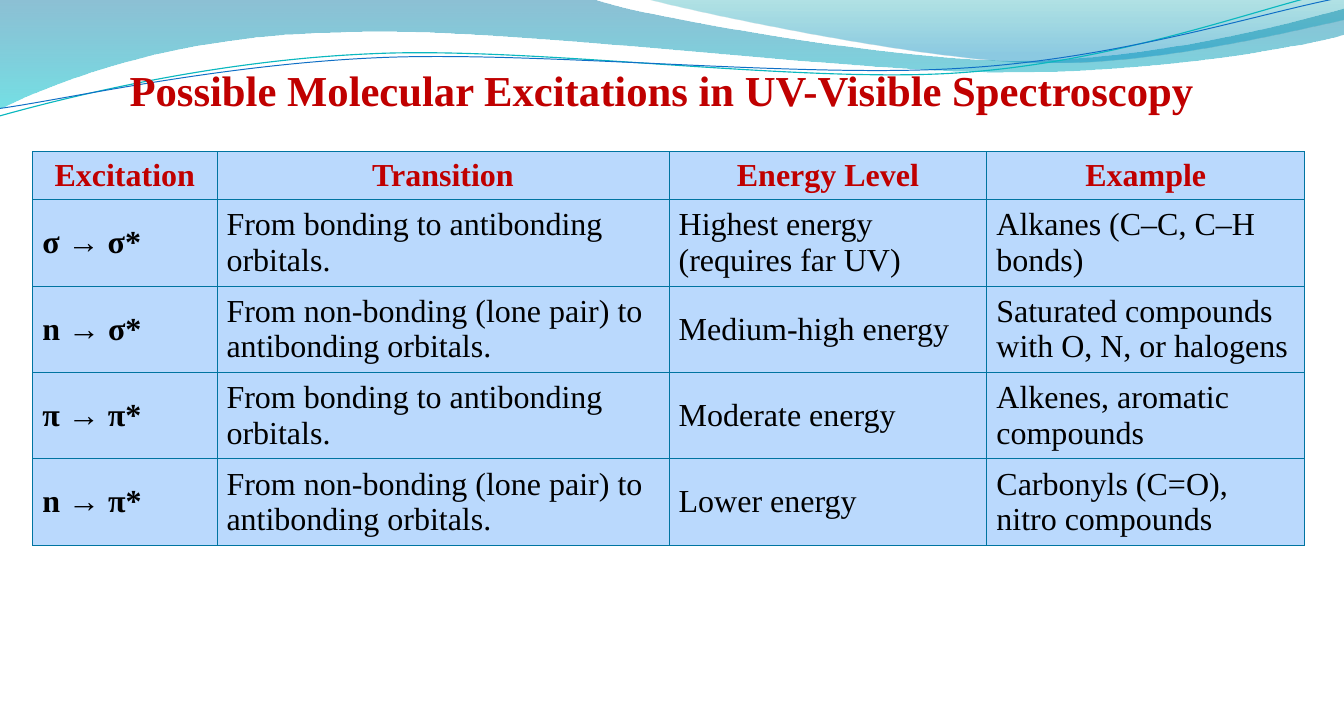
import math

from lxml import etree
from pptx import Presentation
from pptx.dml.color import RGBColor
from pptx.enum import text
from pptx.oxml import ns
from pptx.util import Inches, Pt

RED = RGBColor(0xC0, 0x00, 0x00)
BLACK = RGBColor(0x00, 0x00, 0x00)
PALE = RGBColor(0xBA, 0xD9, 0xFD)
BLUE = RGBColor(0x00, 0x74, 0xA1)
CYAN = RGBColor(0x00, 0xC6, 0xCF)
TEAL = RGBColor(0x00, 0xA1, 0xA9)
SKY = RGBColor(0x00, 0x8B, 0xBF)
AQUA = RGBColor(0x0A, 0xB8, 0xBF)
NAVY = RGBColor(0x0F, 0x6F, 0xC6)
FONT = "Times New Roman"
TILT = -2.7

# Outlines: a pair is a straight step, six numbers are a Bezier curve
WAVE = [(-0.01, -0.01), (6.15, -0.01),
        (6.66, 0.17, 9.29, 0.63, 10.62, 0.63),
        (11.94, 0.63, 13.42, 0.26, 14, 0.09), (14.01, 0.36),
        (13.77, 0.44, 12.18, 0.76, 10.44, 0.75),
        (8.71, 0.75, 5.34, 0.28, 3.6, 0.34),
        (1.81, 0.36, 0.64, 0.83, -0.01, 1.13)]
CREST = [(6.71, -0.01), (7.13, 0.11, 9.55, 0.62, 10.76, 0.65),
         (11.98, 0.69, 13.46, 0.32, 14, 0.21), (14, 0)]
UPPER = [(-0.01, 1.21), (0.67, 1.02, 2.21, 0.63, 3.87, 0.56),
         (5.54, 0.48, 8.29, 0.87, 9.97, 0.76),
         (11.66, 0.65, 13.14, 0.07, 13.98, -0.11)]
LOWER = [(0, 1.13), (0.66, 1.04, 2.29, 0.67, 3.97, 0.6),
         (5.64, 0.53, 8.36, 0.82, 10.03, 0.71),
         (11.7, 0.61, 13.18, 0.12, 14, -0.03)]

ROWS = [
    ("Excitation", "Transition", "Energy Level", "Example"),
    ("σ → σ*", "From bonding to antibonding orbitals.",
     "Highest energy (requires far UV)", "Alkanes (C–C, C–H bonds)"),
    ("n → σ*", "From non-bonding (lone pair) to antibonding orbitals.",
     "Medium-high energy", "Saturated compounds with O, N, or halogens"),
    ("π → π*", "From bonding to antibonding orbitals.",
     "Moderate energy", "Alkenes, aromatic compounds"),
    ("n → π*", "From non-bonding (lone pair) to antibonding orbitals.",
     "Lower energy", "Carbonyls (C=O), nitro compounds"),
]


def write(frame, words, size=24, color=BLACK, bold=False,
          align=text.PP_ALIGN.LEFT):
    para = frame.paragraphs[0]
    para.alignment = align
    run = para.add_run()
    run.text = words
    font = run.font
    font.name, font.size, font.bold = FONT, Pt(size), bold
    font.color.rgb = color


def turn(steps, angle):
    """Rotate every point about the middle of the two ends."""
    mid_x = (steps[0][0] + steps[-1][-2]) / 2
    mid_y = (steps[0][1] + steps[-1][-1]) / 2
    cos, sin = math.cos(math.radians(angle)), math.sin(math.radians(angle))
    turned = []
    for step in steps:
        spots = []
        for x, y in zip(step[::2], step[1::2]):
            x, y = x - mid_x, y - mid_y
            spots += [mid_x + x * cos - y * sin, mid_y + x * sin + y * cos]
        turned.append(tuple(spots))
    return turned


def draw(slide, steps, close):
    points = [(Inches(x), Inches(y)) for step in steps
              for x, y in zip(step[::2], step[1::2])]
    pen = slide.shapes.build_freeform(*points[0])
    pen.add_line_segments(points[1:], close=close)
    shape = pen.convert_to_shape()
    shape.shadow.inherit = False
    # Join each three points of a curve into one Bezier step
    lines = iter(list(shape._element.spPr.iter(ns.qn("a:lnTo"))))
    for step in steps[1:]:
        first = next(lines)
        if len(step) == 6:
            first.tag = ns.qn("a:cubicBezTo")
            for _ in range(2):
                line = next(lines)
                first.append(line[0])
                line.getparent().remove(line)
    return shape


def add_band(slide, steps, stops):
    shape = draw(slide, steps, True)
    shape.line.fill.background()
    shape.fill.gradient()
    shape.fill.gradient_angle = 270
    for stop, (place, color, alpha) in zip(shape.fill.gradient_stops, stops):
        stop.position = place
        stop.color.rgb = color
    # Opacity of each stop
    tints = shape._element.spPr.iter(ns.qn("a:srgbClr"))
    for tint, (_, _, alpha) in zip(tints, stops):
        etree.SubElement(tint, ns.qn("a:alpha"), val=str(alpha * 1000))
    return shape


def add_curve(slide, steps, color, width):
    shape = draw(slide, turn(steps, -TILT), False)
    shape.rotation = TILT
    shape.fill.background()
    shape.line.color.rgb = color
    shape.line.width = Pt(width)
    return shape


def add_waves(slide, master):
    waves = [
        add_band(slide, WAVE, [(0, BLUE, 45), (1, CYAN, 55)]),
        add_band(slide, CREST, [(0, TEAL, 30), (0.8, SKY, 45)]),
        add_curve(slide, UPPER, AQUA, 0.85),
        add_curve(slide, LOWER, NAVY, 0.75),
    ]
    # The waves belong to the master, behind its placeholders
    for i, wave in enumerate(waves):
        wave._element.nvSpPr.cNvPr.set("id", str(100 + i))
        master.shapes._spTree.insert(2 + i, wave._element)


def add_rules(cell, color, width):
    props = cell._tc.get_or_add_tcPr()
    for side in "LRTB":
        line = etree.SubElement(props, ns.qn(f"a:ln{side}"), w=str(Pt(width)))
        fill = etree.SubElement(line, ns.qn("a:solidFill"))
        etree.SubElement(fill, ns.qn("a:srgbClr"), val=str(color))


def add_grid(slide, left, top, width, height):
    table = slide.shapes.add_table(
        len(ROWS), len(ROWS[0]), left, top, width, height).table
    table.first_row = table.horz_banding = False
    for col, size in zip(table.columns, (1.92, 4.71, 3.31, 3.31)):
        col.width = Inches(size)
    for r, row in enumerate(ROWS):
        table.rows[r].height = Inches(0.9 if r else 0.5)
        for c, words in enumerate(row):
            cell = table.cell(r, c)
            add_rules(cell, BLUE, 0.75)
            cell.fill.solid()
            cell.fill.fore_color.rgb = PALE
            cell.vertical_anchor = text.MSO_ANCHOR.MIDDLE
            if r == 0:
                write(cell.text_frame, words, color=RED, bold=True,
                      align=text.PP_ALIGN.CENTER)
            else:
                write(cell.text_frame, words, bold=c == 0)


def add_title(slide, left, top, width, height):
    title = slide.shapes.title
    title.left, title.top = left, top
    title.width, title.height = width, height
    frame = title.text_frame
    frame.word_wrap = False
    frame.auto_size = text.MSO_AUTO_SIZE.SHAPE_TO_FIT_TEXT
    frame.vertical_anchor = text.MSO_ANCHOR.MIDDLE
    write(frame, "Possible Molecular Excitations in UV-Visible Spectroscopy",
          size=32, color=RED, bold=True)
    # Bring the title to the front
    slide.shapes._spTree.append(title._element)


def main():
    deck = Presentation()
    deck.slide_width, deck.slide_height = Inches(14), Inches(7.5)
    slide = deck.slides.add_slide(deck.slide_layouts[5])
    add_waves(slide, deck.slide_master)
    add_grid(slide, Inches(0.34), Inches(1.58), Inches(13.25), Inches(4.1))
    add_title(slide, Inches(1.25), Inches(0.61), Inches(11.39), Inches(0.64))
    deck.save("out.pptx")


if __name__ == "__main__":
    main()
